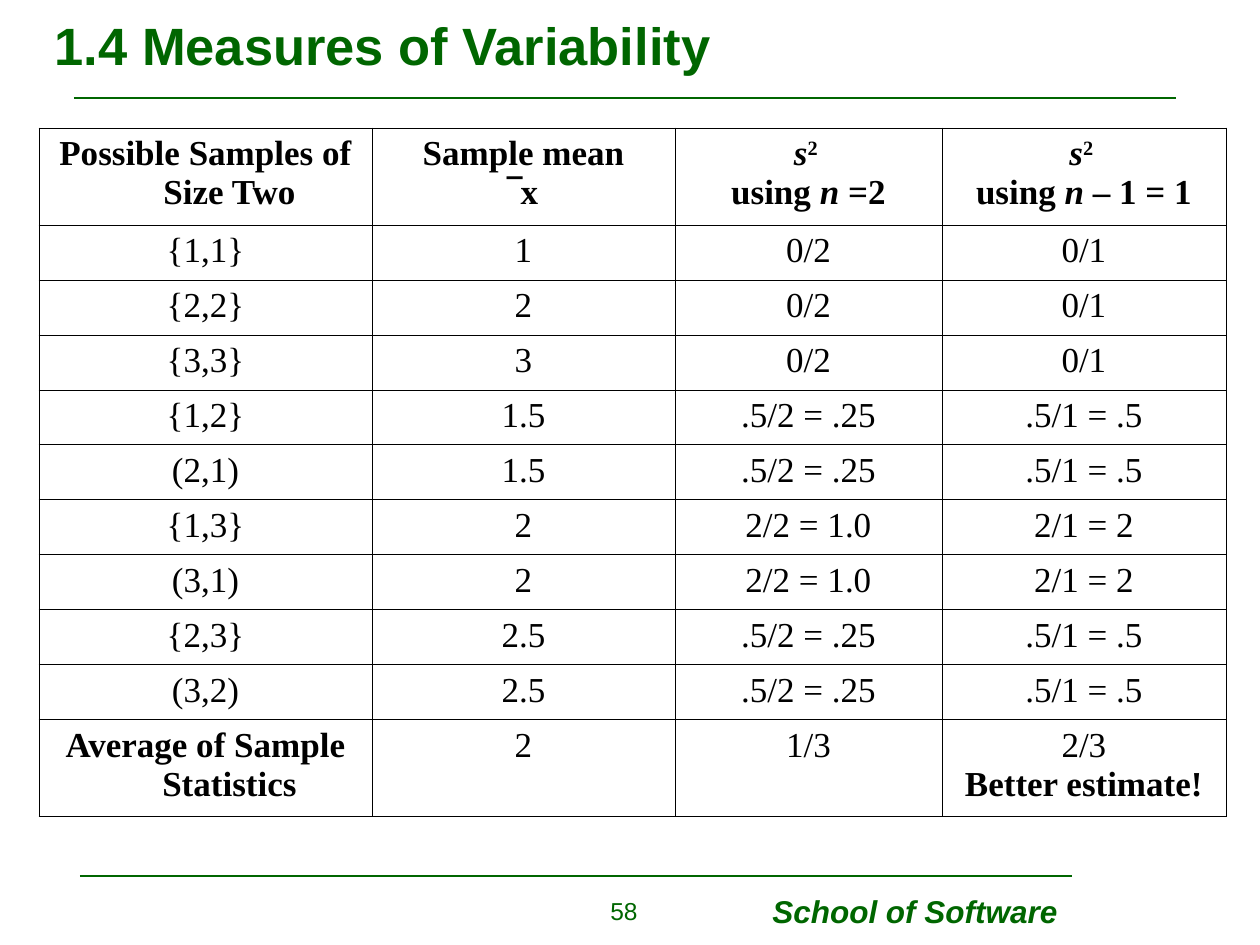
from lxml import etree
from pptx import Presentation
from pptx.dml.color import RGBColor
from pptx.enum.shapes import MSO_CONNECTOR
from pptx.enum.text import MSO_ANCHOR, PP_ALIGN
from pptx.oxml.ns import qn
from pptx.util import Pt

STRAIGHT = MSO_CONNECTOR.STRAIGHT
MIDDLE = MSO_ANCHOR.MIDDLE
LEFT, CENTER, RIGHT = PP_ALIGN.LEFT, PP_ALIGN.CENTER, PP_ALIGN.RIGHT

SCALE = 914400 / 126
GREEN, BLACK = "006600", "000000"

PLAIN = {"name": "Times New Roman", "size": Pt(20), "bold": False, "italic": False}
BOLD = {**PLAIN, "bold": True}
SYMBOL = {**BOLD, "italic": True}
OVERBAR = {**BOLD, "name": "Arial"}
SQUARE = {**BOLD, "baseline": 30000}
TITLE = {"name": "Arial", "size": Pt(30), "bold": True, "italic": False}
SCHOOL = {"name": "Arial", "size": Pt(18), "bold": True, "italic": True}
NUMBER = {"name": "Arial", "size": Pt(14), "bold": False, "italic": False}

S_SQUARED = [("s", SYMBOL), ("2 ", SQUARE)]
HEADER = [
    [[("Possible Samples of Size Two", BOLD)]],
    [[("Sample mean", BOLD)], [("‾", OVERBAR), ("x", BOLD)]],
    [S_SQUARED, [("using ", BOLD), ("n", SYMBOL), (" =2", BOLD)]],
    [S_SQUARED, [("using ", BOLD), ("n", SYMBOL), (" – 1 = 1", BOLD)]],
]
SAMPLES = [
    ("{1,1}", "1", "0/2", "0/1"),
    ("{2,2}", "2", "0/2", "0/1"),
    ("{3,3}", "3", "0/2", "0/1"),
    ("{1,2}", "1.5", ".5/2 = .25", ".5/1 = .5"),
    ("(2,1)", "1.5", ".5/2 = .25", ".5/1 = .5"),
    ("{1,3}", "2", "2/2 = 1.0", "2/1 = 2"),
    ("(3,1)", "2", "2/2 = 1.0", "2/1 = 2"),
    ("{2,3}", "2.5", ".5/2 = .25", ".5/1 = .5"),
    ("(3,2)", "2.5", ".5/2 = .25", ".5/1 = .5"),
]
AVERAGES = [
    [[("Average of Sample Statistics", BOLD)]],
    [[("2", PLAIN)]],
    [[("1/3", PLAIN)]],
    [[("2/3", PLAIN)], [("Better estimate!", BOLD)]],
]
ROWS = [HEADER, *([[[(value, PLAIN)]] for value in sample] for sample in SAMPLES), AVERAGES]

TABLE_LEFT, TABLE_TOP = 39, 128
COLUMN_WIDTHS = [333, 303, 267, 284]
ROW_HEIGHTS = [97] + [55] * len(SAMPLES) + [97]
HANGING = 48
RULES = [(74, 98, 1176), (80, 876, 1072)]
FOOTERS = [
    ("School of Software", SCHOOL, LEFT, (760, 886, 330, 50)),
    ("58", NUMBER, RIGHT, (522, 890, 128, 45)),
]


def px(length):
    return round(length * SCALE)


def rgb(color):
    return RGBColor.from_string(color)


def write(frame, paragraphs, color, align, hanging=0):
    for index, runs in enumerate(paragraphs):
        paragraph = frame.add_paragraph() if index else frame.paragraphs[0]
        paragraph.alignment = align
        if hanging:
            properties = paragraph._p.get_or_add_pPr()
            properties.set("marL", str(px(hanging)))
            properties.set("indent", str(-px(hanging)))
        for text, style in runs:
            run = paragraph.add_run()
            run.text = text
            run.font.color.rgb = rgb(color)
            for key, value in style.items():
                if key == "baseline":
                    run._r.get_or_add_rPr().set(key, str(value))
                else:
                    setattr(run.font, key, value)


def draw_borders(cell, color, width):
    properties = cell._tc.get_or_add_tcPr()
    for side in ("lnL", "lnR", "lnT", "lnB"):
        border = etree.SubElement(properties, qn(f"a:{side}"), w=str(Pt(width)))
        fill = etree.SubElement(border, qn("a:solidFill"))
        etree.SubElement(fill, qn("a:srgbClr"), val=color)


def add_rule(slide, left, top, right):
    rule = slide.shapes.add_connector(STRAIGHT, px(left), px(top), px(right), px(top))
    rule.line.color.rgb = rgb(GREEN)
    rule.line.width = Pt(1.5)
    etree.SubElement(rule._element.spPr, qn("a:effectLst"))


def add_samples_table(slide):
    table = slide.shapes.add_table(
        len(ROWS), len(COLUMN_WIDTHS), px(TABLE_LEFT), px(TABLE_TOP),
        px(sum(COLUMN_WIDTHS)), px(sum(ROW_HEIGHTS)),
    ).table
    table.first_row = table.horz_banding = False
    for column, width in zip(table.columns, COLUMN_WIDTHS):
        column.width = px(width)
    for row, height, contents in zip(table.rows, ROW_HEIGHTS, ROWS):
        row.height = px(height)
        for cell, paragraphs in zip(row.cells, contents):
            write(cell.text_frame, paragraphs, BLACK, CENTER, HANGING)
            draw_borders(cell, BLACK, 0.45)
            cell.fill.background()


def main():
    deck = Presentation()
    deck.slide_width, deck.slide_height = px(1260), px(945)
    slide = deck.slides.add_slide(deck.slide_layouts[5])

    title = slide.shapes.title
    title.left, title.top, title.width, title.height = map(px, (42, 2, 1177, 86))
    title.text_frame.vertical_anchor = MIDDLE
    write(title.text_frame, [[("1.4 Measures of Variability", TITLE)]], GREEN, LEFT)

    for rule in RULES:
        add_rule(slide, *rule)
    for text, style, align, place in FOOTERS:
        frame = slide.shapes.add_textbox(*map(px, place)).text_frame
        frame.word_wrap = True
        write(frame, [[(text, style)]], GREEN, align)
    add_samples_table(slide)
    deck.save("out.pptx")


if __name__ == "__main__":
    main()
